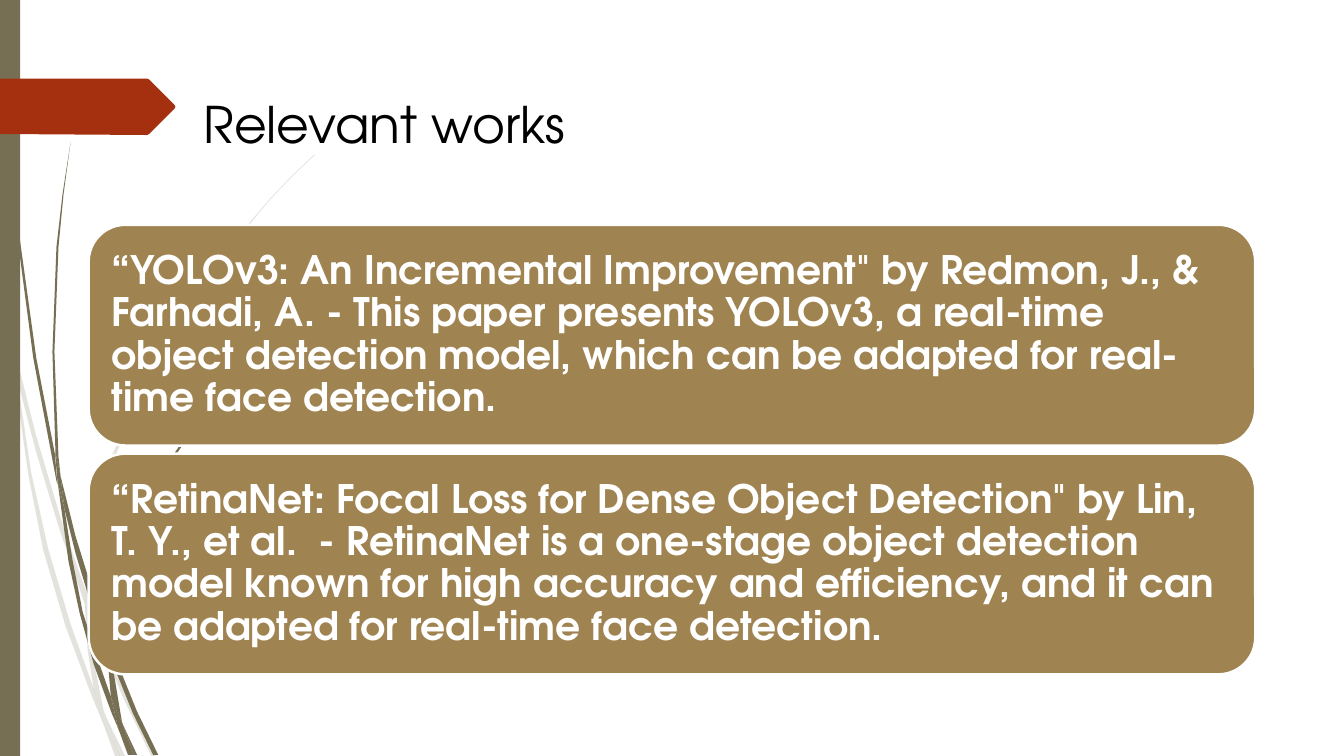
import pptx
import pptx.util
import pptx.dml.color
import pptx.enum.shapes
import pptx.enum.text
import pptx.oxml.ns
from lxml import etree

TITLE = "Relevant works"
WORKS = [
    "“YOLOv3: An Incremental Improvement\" by Redmon, J., & Farhadi, A. - This paper presents "
    "YOLOv3, a real-time object detection model, which can be adapted for real-time face detection.",
    "“RetinaNet: Focal Loss for Dense Object Detection\" by Lin, T. Y., et al.  - RetinaNet is a "
    "one-stage object detection model known for high accuracy and efficiency, and it can be "
    "adapted for real-time face detection.",
]

# Outlines of the grass blades, as x,y corners in px.
PALE_BLADES = [
    "11,350 9,322 0,282 0,299 10,344",
    "58,522 84,599 85,586 62,520 36,433 14,345 17,376 36,449",
    "92,607 88,596 88,610 123,694 150,750 155,750 127,692",
    "119,750 124,750 105,711",
    "93,683 70,619 48,545 31,469 17,376 11,350 28,470 43,546 65,621 92,693 101,714 99,707",
    "84,599 87,646 93,683 96,692 105,711 103,706 91,646 88,610 88,608",
    "88,584 110,462 160,349 229,245 268,198 290,175 312,154 312,153 289,175 268,197 228,244 "
    "158,348 107,461 85,584 85,586 88,596",
    "101,714 114,750 119,750",
    "88,608 88,610 88,596 85,586 84,599",
    "96,692 93,683 99,707 101,714 119,750 105,711",
]
DARK_BLADES = [
    "7,110 17,233 33,355 56,477 57,481 55,457 55,453 36,355 19,232 8,109 5,48 4,0 3,0 4,48",
    "88,592 106,645 106,633 106,631 93,590 75,532 60,472 64,505 75,549",
    "113,649 110,641 111,656 132,708 152,749 157,749 136,706",
    "110,691 98,657 82,607 72,556 64,505 57,477 68,557 79,608 93,659 111,708 117,722 116,717",
    "60,472 58,453 54,349 58,245 63,193 70,141 62,193 56,245 52,349 55,449",
    "133,749 136,749 122,719",
    "57,477 64,505 60,472 55,449 55,453",
    "111,633 125,552 158,476 205,406 231,374 245,359 261,344 260,344 245,358 231,373 204,405 "
    "156,474 122,551 106,631 110,641",
    "117,722 127,749 131,749",
    "106,645 110,691 116,706 122,719 121,716 111,656 109,651",
    "116,706 110,691 116,717 117,722 130,749 133,749 122,719",
]
ARROW = "0,78 146,78 148,79 173,104 174,106 173,108 148,133 146,134 0,133"

SLIDE_W, SLIDE_H = 1333, 750
STRIPE_W = 20
TITLE_BOX = (192, 87, 949, 115)
CARD_X, CARD_Y, CARD_W, CARD_H, CARD_GAP = 88, 223, 1157, 219, 8
CARD_INSET = 12
PX = 9144


class Theme:
    font = "TeX Gyre Adventor"
    olive, rust, tan = "766F54", "A53010", "9F8351"
    white, black = "FFFFFF", "000000"
    title_pt, card_pt, after_pt, border_pt = 36, 28, 9.8, 1.75
    pale_alpha = 20


def rgb(color):
    return pptx.dml.color.RGBColor.from_string(color)


def paint(sp, color, alpha=None, border=None):
    """Set a shape's fill, opacity in percent, and border colour."""
    sp.shadow.inherit = False
    sp.fill.solid()
    sp.fill.fore_color.rgb = rgb(color)
    if alpha is not None:
        clr = sp.element.spPr.find(".//" + pptx.oxml.ns.qn("a:srgbClr"))
        etree.SubElement(clr, pptx.oxml.ns.qn("a:alpha"), val=str(alpha * 1000))
    if border:
        sp.line.color.rgb = rgb(border)
        sp.line.width = pptx.util.Pt(Theme.border_pt)
    else:
        sp.line.fill.background()


def add_block(s, kind, box, color, **fmt):
    sp = s.shapes.add_shape(kind, *(v * PX for v in box))
    paint(sp, color, **fmt)
    return sp


def add_outline(s, corners, color, alpha=None):
    pts = [tuple(map(int, pair.split(","))) for pair in corners.split()]
    fb = s.shapes.build_freeform(*pts[0], scale=PX)
    fb.add_line_segments(pts[1:], close=True)
    paint(fb.convert_to_shape(), color, alpha)


def write(sp, text, size, color, bold=False, anchor="TOP", inset=None, spacing=None, after=None):
    tf = sp.text_frame
    tf.word_wrap = True
    tf.vertical_anchor = getattr(pptx.enum.text.MSO_ANCHOR, anchor)
    if inset is not None:
        tf.margin_left = tf.margin_right = tf.margin_top = tf.margin_bottom = inset * PX
    p = tf.paragraphs[0]
    p.alignment = pptx.enum.text.PP_ALIGN.LEFT
    if spacing:
        p.line_spacing = spacing
    if after:
        p.space_after = pptx.util.Pt(after)
    r = p.add_run()
    r.text = text
    r.font.name, r.font.size, r.font.bold = Theme.font, pptx.util.Pt(size), bold
    r.font.color.rgb = rgb(color)


def main():
    prs = pptx.Presentation()
    prs.slide_width, prs.slide_height = SLIDE_W * PX, SLIDE_H * PX
    s = prs.slides.add_slide(prs.slide_layouts[6])
    shapes = pptx.enum.shapes.MSO_SHAPE

    for blades, alpha in ((PALE_BLADES, Theme.pale_alpha), (DARK_BLADES, None)):
        for blade in blades:
            add_outline(s, blade, Theme.olive, alpha)
    add_block(s, shapes.RECTANGLE, (0, 0, STRIPE_W, SLIDE_H), Theme.olive)
    add_outline(s, ARROW, Theme.rust)

    title = s.shapes.add_textbox(*(v * PX for v in TITLE_BOX))
    write(title, TITLE, Theme.title_pt, Theme.black)
    for i, work in enumerate(WORKS):
        box = (CARD_X, CARD_Y + i * (CARD_H + CARD_GAP), CARD_W, CARD_H)
        card = add_block(s, shapes.ROUNDED_RECTANGLE, box, Theme.tan, border=Theme.white)
        write(card, work, Theme.card_pt, Theme.white, bold=True, anchor="MIDDLE",
              inset=CARD_INSET, spacing=0.9, after=Theme.after_pt)
    prs.save("out.pptx")


if __name__ == "__main__":
    main()
